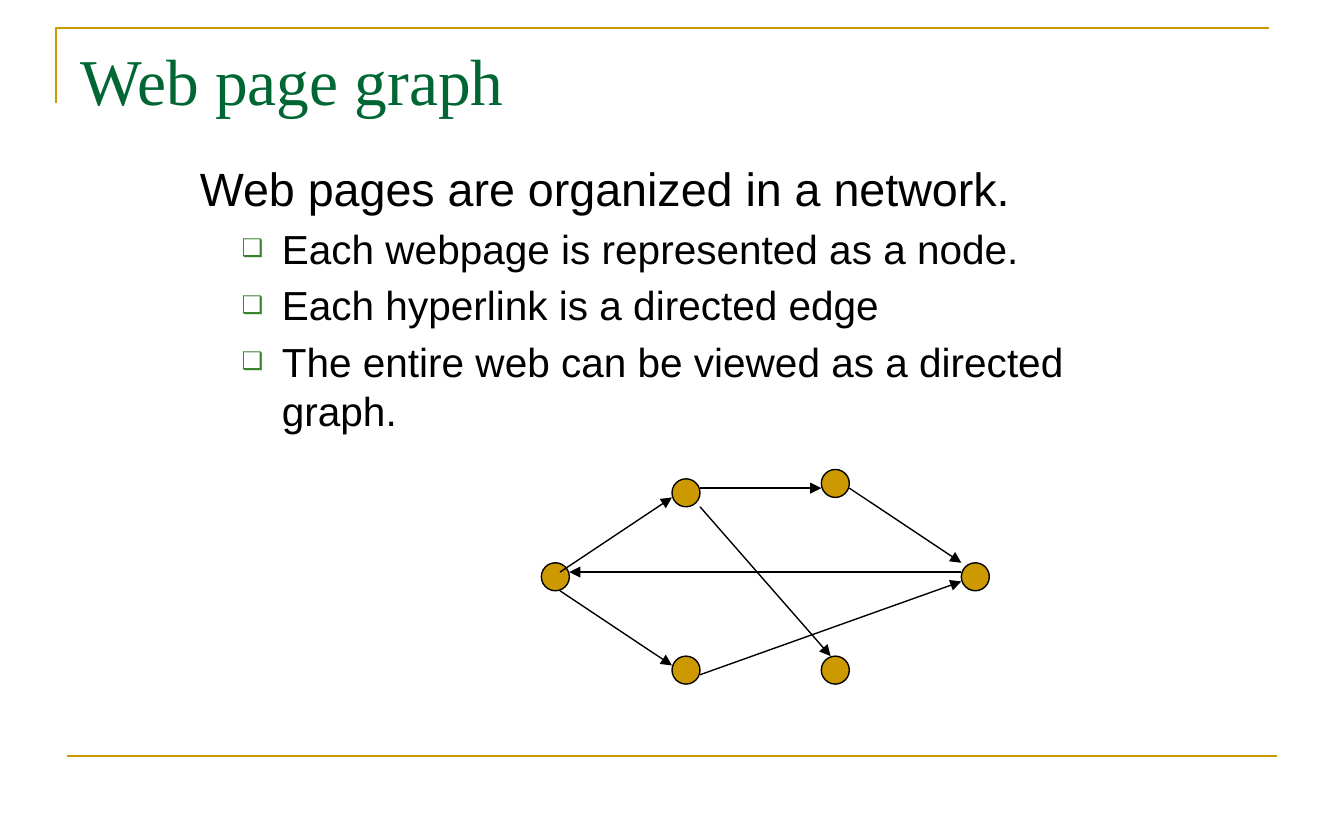
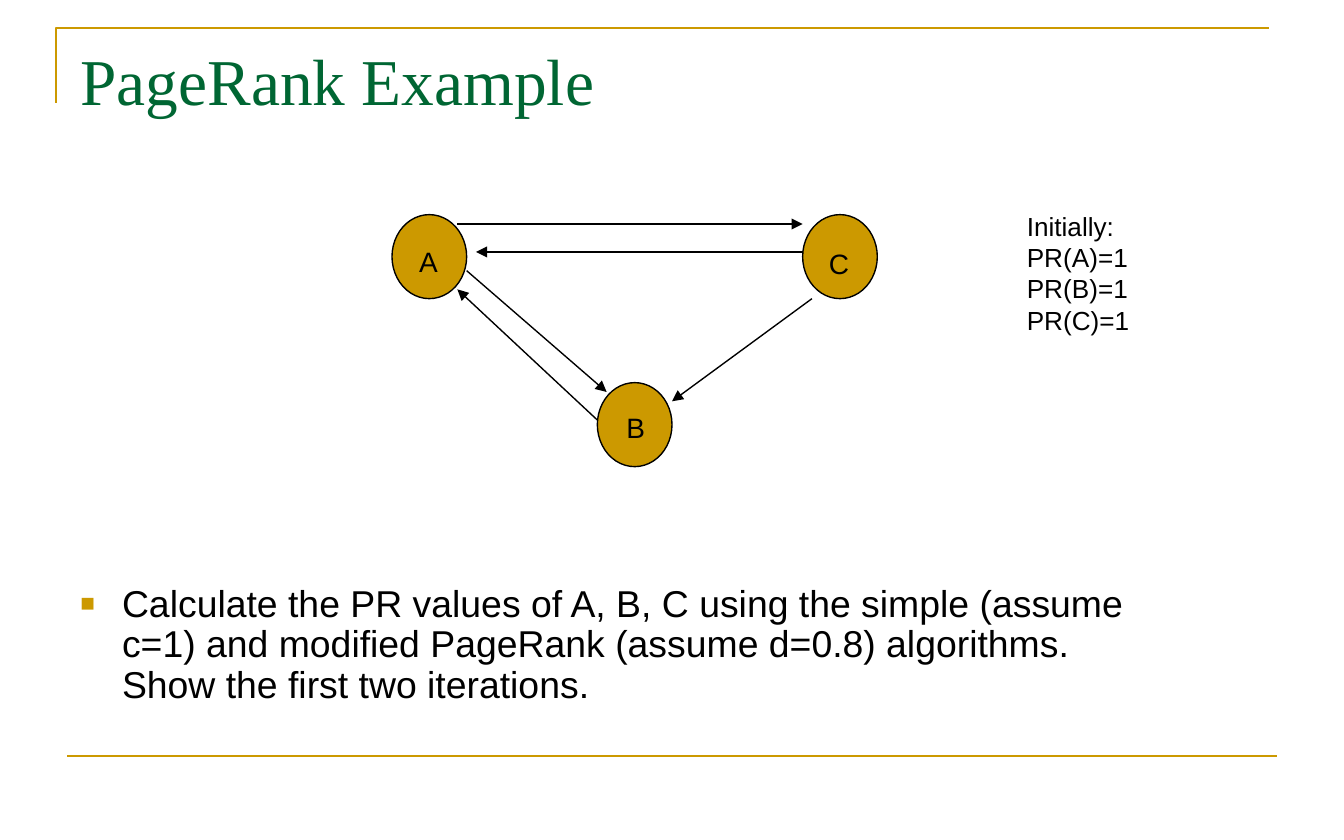
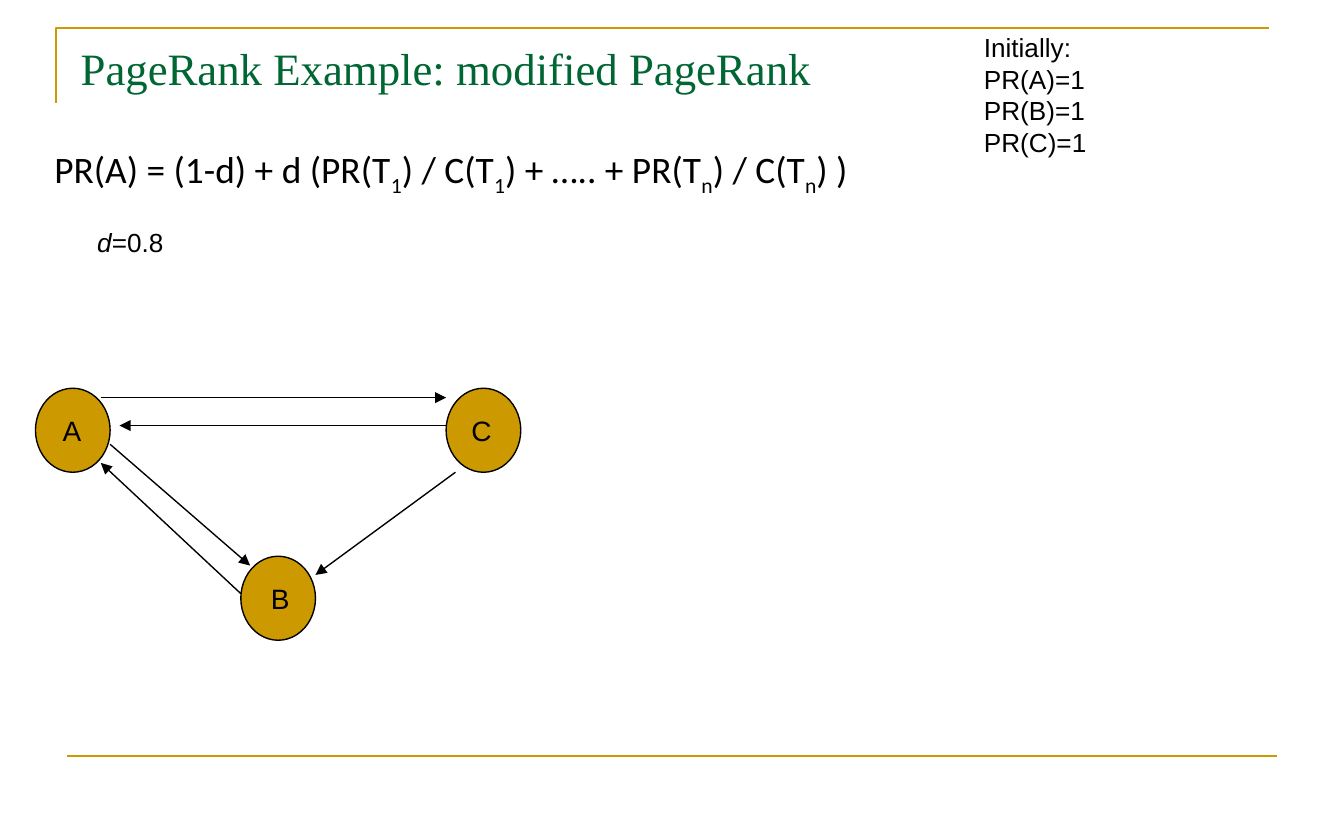
import pptx
import pptx.util
import pptx.dml.color
import pptx.enum.shapes
import pptx.enum.text
import pptx.oxml.ns
from lxml import etree

RGB = pptx.dml.color.RGBColor
GOLD = RGB(0xCC, 0x99, 0x00)
GREEN = RGB(0x00, 0x66, 0x33)
LEAF = RGB(0x3B, 0x81, 0x2F)
INK = RGB(0, 0, 0)

# Grid: 144 columns by 90 rows of square cells
deck = pptx.Presentation()
deck.slide_width = pptx.util.Inches(10)
deck.slide_height = pptx.util.Inches(6.25)
CELL = deck.slide_width / 144


def write(frame, text, size=14, face="Arial", color=INK, odd=None,
          mark=None, tint=GOLD, scale=65, left=0, hang=0, lead=None, gap=0):
    """Add one paragraph; pieces between bars take the run settings in odd."""
    para = frame.paragraphs[0]
    if para.runs:
        para = frame.add_paragraph()
    para.alignment = pptx.enum.text.PP_ALIGN.LEFT
    if mark:
        props = para._p.get_or_add_pPr()
        props.set("marL", str(pptx.util.Inches(left)))
        props.set("indent", str(-pptx.util.Inches(hang)))
        tag = pptx.oxml.ns.qn
        paint = etree.SubElement(props, tag("a:buClr"))
        etree.SubElement(paint, tag("a:srgbClr"), val=str(tint))
        etree.SubElement(props, tag("a:buSzPct"), val=str(scale * 1000))
        etree.SubElement(props, tag("a:buFont"), typeface="Arial")
        etree.SubElement(props, tag("a:buChar"), char=mark)
    para.space_before = pptx.util.Pt(gap)
    if lead:
        para.line_spacing = lead
    for i, piece in enumerate(text.split("|")):
        if not piece:
            continue
        run = para.add_run()
        run.text = piece
        run.font.size = pptx.util.Pt(size)
        run.font.name = face
        run.font.color.rgb = color
        if i % 2:
            for key, val in odd.items():
                run._r.get_or_add_rPr().set(key, val)


def draw(slide, start, end, color=INK, width=0.75, arrow=True):
    """Draw a straight line between two grid points."""
    ends = [round(v * CELL) for v in (*start, *end)]
    line = slide.shapes.add_connector(
        pptx.enum.shapes.MSO_CONNECTOR.STRAIGHT, *ends)
    line.line.color.rgb = color
    line.line.width = pptx.util.Pt(width)
    tag = pptx.oxml.ns.qn
    if arrow:
        etree.SubElement(line.line._get_or_add_ln(), tag("a:tailEnd"),
                         type="triangle")
    etree.SubElement(line._element.spPr, tag("a:effectLst"))


# Titles, corner frame and bottom rule
slides = []
for title, size, wide, high in [
        ("Web page graph", 35, 129.6, 15),
        ("PageRank Example", 35, 129.6, 15),
        ("PageRank Example: modified PageRank", 24, 89.7, 9)]:
    slide = deck.slides.add_slide(deck.slide_layouts[5])
    slides.append(slide)
    pen = slide.shapes.build_freeform(6, 11, scale=CELL)
    pen.add_line_segments([(6, 3), (135.6, 3)], close=False)
    frame = pen.convert_to_shape()
    frame.shadow.inherit = False
    frame.fill.background()
    frame.line.color.rgb = GOLD
    frame.line.width = pptx.util.Pt(1.5)
    draw(slide, (7.2, 81), (136.8, 81), GOLD, 1.5, arrow=False)

    head = slide.shapes.title
    head.left, head.top, head.width, head.height = (
        round(v * CELL) for v in (7.2, 3.6, wide, high))
    text = head.text_frame
    text.auto_size = pptx.enum.text.MSO_AUTO_SIZE.NONE
    text.vertical_anchor = pptx.enum.text.MSO_ANCHOR.TOP
    text.word_wrap = True
    write(text, title, size=size, face="Times New Roman", color=GREEN)

web, rank, mod = slides

# Graphs: origin, node size, nodes and links on the grid
WEB = ([(0, 10), (30, 20), (30, 0), (14, 20), (14, 1), (45, 10)],
       [((2, 11), (14, 3)), ((2, 13), (14, 21)), ((17, 4), (31, 20)),
        ((17, 2), (30, 2)), ((33, 2), (45, 10)), ((45, 11), (3, 11)),
        ((17, 22), (45, 12))])
ABC = ([(0, 0), (22, 18), (44, 0)],
       [((8, 6), (23, 19)), ((22, 22), (7, 8)), ((44, 4), (9, 4)),
        ((45, 9), (30, 20)), ((7, 1), (44, 1))])
for slide, (x, y), (wide, high), (nodes, links) in [
        (web, (58, 50.3), (3, 3), WEB),
        (rank, (42, 23), (8, 9), ABC),
        (mod, (3.8, 41.6), (8, 9), ABC)]:
    for col, row in nodes:
        node = slide.shapes.add_shape(
            pptx.enum.shapes.MSO_SHAPE.OVAL,
            *(round(v * CELL) for v in (x + col, y + row, wide, high)))
        node.shadow.inherit = False
        node.fill.solid()
        node.fill.fore_color.rgb = GOLD
        node.line.color.rgb = INK
        node.line.width = pptx.util.Pt(0.75)
    for (ax, ay), (bx, by) in links:
        draw(slide, (x + ax, y + ay), (x + bx, y + by))

# Text boxes: place on the grid, wrapping, lines and their format
START = ["Initially:", "PR(A)=1", "PR(B)=1", "PR(C)=1"]
POINT = dict(size=21.7, mark="❑", tint=LEAF, scale=60,
             left=0.61, hang=0.3, gap=4.3)
TASK = dict(size=20, mark="■", left=0.31, hang=0.31, lead=0.9)
boxes = [
    (web, (20, 16.4, 106, 36.6), True, [
        ("Web pages are organized in a network.", dict(size=25)),
        ("Each webpage is represented as a node.", POINT),
        ("Each hyperlink is a directed edge", POINT),
        ("The entire web can be viewed as a directed graph.", POINT)]),
    (rank, (7.2, 62, 119, 9), True, [
        ("Calculate the PR values of A, B, C using the simple (assume c=1) "
         "and modified PageRank (assume d=0.8) algorithms. Show the first "
         "two iterations.", TASK)]),
    (rank, (108.6, 21.8, 28.8, 15), True, [(t, {}) for t in START]),
    (mod, (104, 2.7, 20, 15), True, [(t, {}) for t in START]),
    (mod, (4.4, 15, 89.4, 6.3), False, [
        ("PR(A) = (1-d) + d (PR(T|1|) / C(T|1|) + ….. + PR(T|n|) / C(T|n|) )",
         dict(size=20, face="Calibri", odd={"baseline": "-25000"}))]),
    (mod, (9, 23.5, 10, 4.9), False, [("|d|=0.8", dict(odd={"i": "1"}))]),
]

# Node names
for slide, spots in [
        (rank, [(43.5, 25.5), (65.7, 43.3), (87.4, 25.7)]),
        (mod, [(5.3, 43.6), (27.6, 61.6), (49.1, 43.6)])]:
    for name, spot in zip("ABC", spots):
        boxes.append((slide, (*spot, 4.9, 5), False, [(name, dict(size=15))]))

for slide, place, wrap, lines in boxes:
    box = slide.shapes.add_textbox(*(round(v * CELL) for v in place))
    box.text_frame.word_wrap = wrap
    for text, form in lines:
        write(box.text_frame, text, **form)

deck.save("out.pptx")
